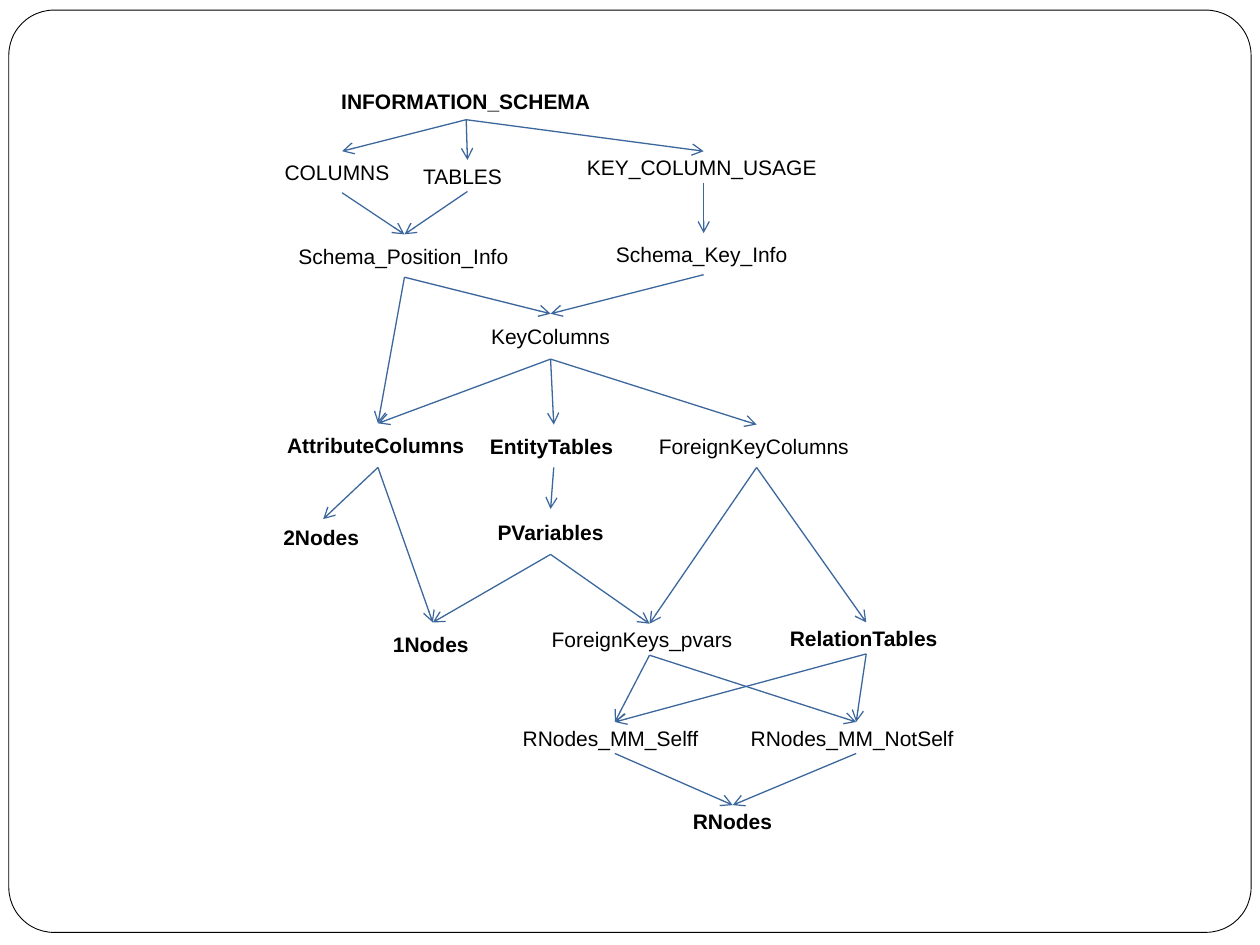
from dataclasses import dataclass

from lxml import etree
from pptx import Presentation
from pptx.dml.color import RGBColor
from pptx.enum.shapes import MSO_CONNECTOR, MSO_SHAPE
from pptx.enum.text import MSO_ANCHOR, PP_ALIGN
from pptx.oxml.ns import qn
from pptx.util import Inches, Pt

ROUNDED = MSO_SHAPE.ROUNDED_RECTANGLE
STRAIGHT = MSO_CONNECTOR.STRAIGHT
MIDDLE = MSO_ANCHOR.MIDDLE
LEFT, CENTER = PP_ALIGN.LEFT, PP_ALIGN.CENTER
TOP_SIDE, BOTTOM_SIDE = 0, 2


@dataclass(frozen=True)
class Theme:
    paper: RGBColor = RGBColor(0xFF, 0xFF, 0xFF)
    ink: RGBColor = RGBColor(0, 0, 0)
    arrow: RGBColor = RGBColor(0x3B, 0x67, 0x9C)
    font: str = "Arial"
    label_size: Pt = Pt(12)
    frame_line: Pt = Pt(0.5)
    arrow_line: Pt = Pt(0.75)


THEME = Theme()
FRAME_BOX = (0.07, 0.08, 9.86, 7.32)
DIAGRAM_BOX = (2.15, 0.65, 5.58, 6)

# Tables: left, top, width, height in inches from the diagram's corner
TABLES = {
    "INFORMATION_SCHEMA": (0.46, 0, 2.18, 0.3),
    "COLUMNS": (0.01, 0.55, 1.11, 0.33),
    "TABLES": (1.11, 0.62, 0.9, 0.25),
    "KEY_COLUMN_USAGE": (2.41, 0.55, 2.05, 0.25),
    "Schema_Position_Info": (0.12, 1.21, 1.88, 0.34),
    "Schema_Key_Info": (2.64, 1.2, 1.59, 0.33),
    "KeyColumns": (1.42, 1.84, 1.6, 0.36),
    "AttributeColumns": (0.03, 2.71, 1.64, 0.35),
    "EntityTables": (1.64, 2.72, 1.21, 0.34),
    "ForeignKeyColumns": (2.98, 2.72, 1.75, 0.34),
    "2Nodes": (0, 3.47, 0.83, 0.28),
    "PVariables": (1.51, 3.39, 1.42, 0.36),
    "1Nodes": (0.87, 4.29, 0.83, 0.34),
    "ForeignKeys_pvars": (2.13, 4.3, 1.75, 0.25),
    "RelationTables": (4.02, 4.29, 1.41, 0.25),
    "RNodes_MM_Selff": (1.9, 5.08, 1.66, 0.25),
    "RNodes_MM_NotSelf": (3.71, 5.08, 1.87, 0.25),
    "RNodes": (3.25, 5.74, 0.83, 0.26),
}
BOLD_TABLES = {
    "INFORMATION_SCHEMA", "AttributeColumns", "EntityTables", "2Nodes",
    "PVariables", "1Nodes", "RelationTables", "RNodes",
}
CENTERED_TABLES = {"KeyColumns", "PVariables"}

# Each table and the tables derived from it
DERIVED = {
    "INFORMATION_SCHEMA": ["COLUMNS", "TABLES", "KEY_COLUMN_USAGE"],
    "COLUMNS": ["Schema_Position_Info"],
    "TABLES": ["Schema_Position_Info"],
    "KEY_COLUMN_USAGE": ["Schema_Key_Info"],
    "Schema_Position_Info": ["KeyColumns", "AttributeColumns"],
    "Schema_Key_Info": ["KeyColumns"],
    "KeyColumns": ["AttributeColumns", "EntityTables", "ForeignKeyColumns"],
    "AttributeColumns": ["2Nodes", "1Nodes"],
    "EntityTables": ["PVariables"],
    "ForeignKeyColumns": ["ForeignKeys_pvars", "RelationTables"],
    "PVariables": ["1Nodes", "ForeignKeys_pvars"],
    "ForeignKeys_pvars": ["RNodes_MM_Selff", "RNodes_MM_NotSelf"],
    "RelationTables": ["RNodes_MM_Selff", "RNodes_MM_NotSelf"],
    "RNodes_MM_Selff": ["RNodes"],
    "RNodes_MM_NotSelf": ["RNodes"],
}


def add_label(slide, text, box, *, bold=False, align=LEFT):
    label = slide.shapes.add_textbox(*map(Inches, box))
    frame = label.text_frame
    frame.word_wrap = True
    frame.vertical_anchor = MIDDLE
    frame.margin_top = frame.margin_bottom = 0
    paragraph = frame.paragraphs[0]
    paragraph.alignment = align
    run = paragraph.add_run()
    run.text = text
    run.font.name = THEME.font
    run.font.size = THEME.label_size
    run.font.bold = bold
    run.font.color.rgb = THEME.ink
    return label


def add_arrow(slide, source, target):
    arrow = slide.shapes.add_connector(STRAIGHT, 0, 0, 0, 0)
    arrow.begin_connect(source, BOTTOM_SIDE)
    arrow.end_connect(target, TOP_SIDE)
    arrow.line.color.rgb = THEME.arrow
    arrow.line.width = THEME.arrow_line
    # Open arrowhead, no shadow
    etree.SubElement(arrow.line._get_or_add_ln(), qn("a:tailEnd"), type="arrow")
    etree.SubElement(arrow._element.spPr, qn("a:effectLst"))


def add_frame(slide, box):
    frame = slide.shapes.add_shape(ROUNDED, *map(Inches, box))
    frame.adjustments[0] = 0.049
    frame.shadow.inherit = False
    frame.fill.solid()
    frame.fill.fore_color.rgb = THEME.paper
    frame.line.color.rgb = THEME.ink
    frame.line.width = THEME.frame_line


def add_dependency_diagram(slide, box):
    left, top = box[:2]
    labels = {}
    for table, (x, y, width, height) in TABLES.items():
        labels[table] = add_label(
            slide, table, (left + x, top + y, width, height),
            bold=table in BOLD_TABLES,
            align=CENTER if table in CENTERED_TABLES else LEFT,
        )
    for source, targets in DERIVED.items():
        for target in targets:
            add_arrow(slide, labels[source], labels[target])


def main():
    deck = Presentation()
    deck.slide_width, deck.slide_height = Inches(10), Inches(7.5)
    # Blank layout: the slide has no title
    slide = deck.slides.add_slide(deck.slide_layouts[6])
    add_frame(slide, FRAME_BOX)
    add_dependency_diagram(slide, DIAGRAM_BOX)
    deck.save("out.pptx")


if __name__ == "__main__":
    main()
